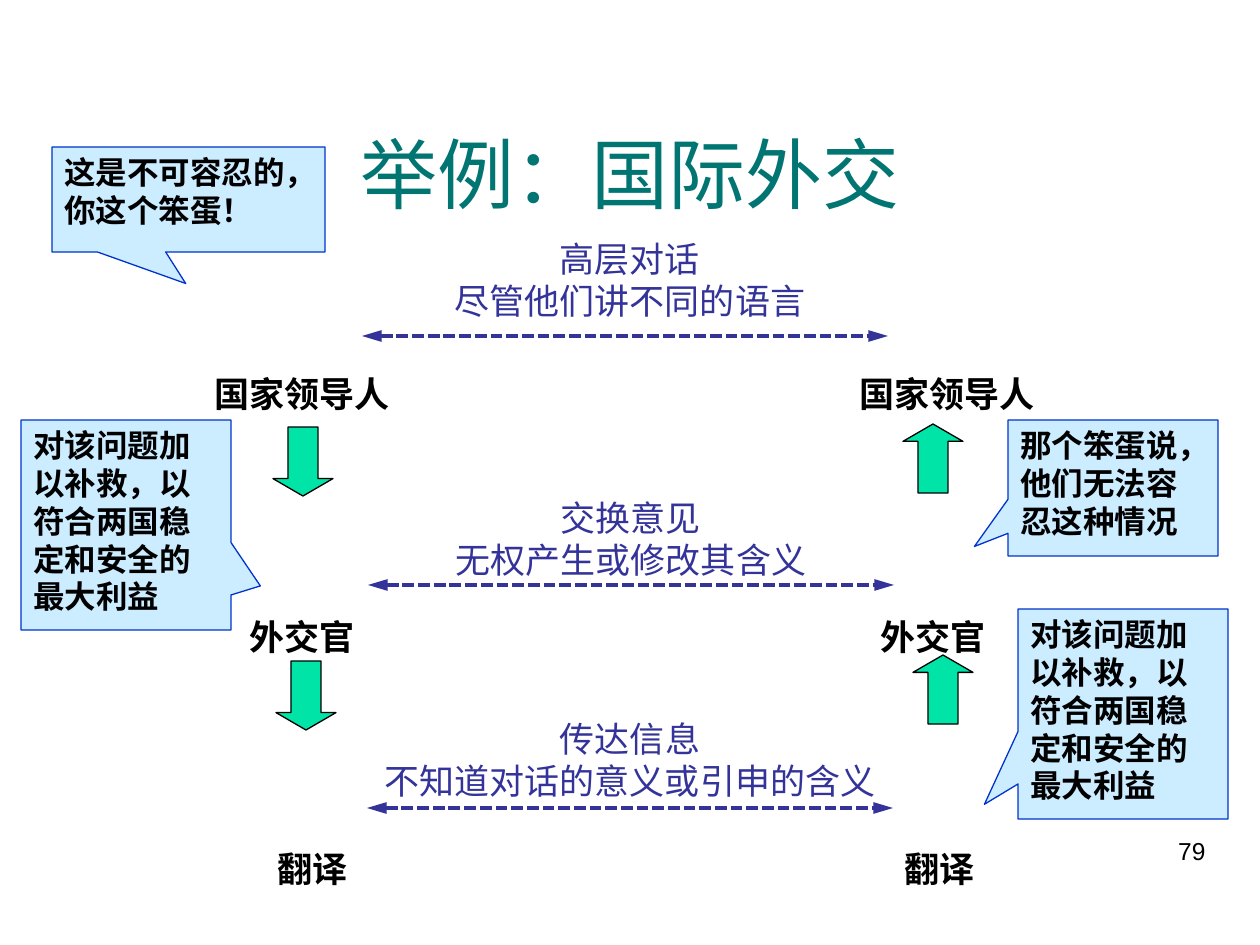
"""Build the slide on international diplomacy as an example of layered dialogue."""
from lxml import etree
from pptx import Presentation
from pptx.dml.color import RGBColor
from pptx.enum import dml, shapes, text
from pptx.oxml import ns
from pptx.util import Emu, Pt

PX = 914400 / 126
TEAL = RGBColor(0x00, 0x75, 0x72)
INDIGO = RGBColor(0x33, 0x33, 0x99)
GREEN = RGBColor(0x00, 0xE4, 0xA8)
PALE_BLUE = RGBColor(0xCC, 0xEC, 0xFF)
BLUE = RGBColor(0x00, 0x33, 0xCC)
BLACK = RGBColor(0, 0, 0)
CJK = "Noto Sans CJK SC"
CENTER, LEFT, RIGHT = text.PP_ALIGN.CENTER, text.PP_ALIGN.LEFT, text.PP_ALIGN.RIGHT
TOP, MIDDLE = text.MSO_ANCHOR.TOP, text.MSO_ANCHOR.MIDDLE

TITLE = ("举例：国际外交", (42, 94, 1176, 158))
NUMBER = ("79", (903, 830, 315, 66))
ROLES = [
    ("国家领导人", 394, (302, 947)),
    ("外交官", 637, (302, 933)),
    ("翻译", 868, (313, 940)),
]
ROLE_SIZE = (260, 52)
DIALOGUES = [
    (("高层对话", "尽管他们讲不同的语言"), (440, 231, 380, 97), (362, 336)),
    (("交换意见", "无权产生或修改其含义"), (441, 490, 380, 97), (368, 585)),
    (("传达信息", "不知道对话的意义或引申的含义"), (370, 711, 520, 97), (367, 808)),
]
LINK_LENGTH = 526
DOWN, UP = shapes.MSO_SHAPE.DOWN_ARROW, shapes.MSO_SHAPE.UP_ARROW
ARROWS = [(DOWN, 273, 427), (DOWN, 276, 661), (UP, 913, 655), (UP, 903, 424)]
ARROW_SIZE = (60, 69)
REMEDY = "对该问题加以补救，以符合两国稳定和安全的最大利益"
CALLOUTS = [
    ("这是不可容忍的，你这个笨蛋！", (52, 147, 273, 105), (-0.01, 0.8)),
    (REMEDY, (21, 420, 210, 210), (0.64, 0.29)),
    (REMEDY, (1018, 609, 210, 210), (-0.66, 0.43)),
    ("那个笨蛋说，他们无法容忍这种情况", (1008, 420, 210, 136), (-0.66, 0.43)),
]


def px(*values):
    return [Emu(round(value * PX)) for value in values]


def write(box, lines, face, size, color, bold=False, align=LEFT, anchor=TOP, wrap=True):
    frame = box.text_frame
    frame.word_wrap = wrap
    frame.vertical_anchor = anchor
    frame.text = "\n".join(lines)
    for para in frame.paragraphs:
        para.alignment = align
        font = para.font
        font.name, font.size, font.bold = face, Pt(size), bold
        font.color.rgb = color
        latin = para._p.pPr.find(".//" + ns.qn("a:latin"))
        east_asian = etree.Element(ns.qn("a:ea"), typeface=face)
        latin.addnext(east_asian)


def add_text(page, lines, area, *style, **layout):
    write(page.shapes.add_textbox(*px(*area)), lines, *style, **layout)


def add_shape(page, kind, area, fill, line, adjustments):
    shape = page.shapes.add_shape(kind, *px(*area))
    shape.shadow.inherit = False
    shape.fill.solid()
    shape.fill.fore_color.rgb = fill
    shape.line.color.rgb = line
    shape.line.width = Pt(0.75)
    for index, value in enumerate(adjustments):
        shape.adjustments[index] = value
    return shape


def add_link(page, left, y):
    link = page.shapes.add_connector(
        shapes.MSO_CONNECTOR.STRAIGHT, *px(left, y, left + LINK_LENGTH, y))
    link.line.color.rgb = INDIGO
    link.line.width = Pt(2.25)
    link.line.dash_style = dml.MSO_LINE.SQUARE_DOT
    outline = link.line._get_or_add_ln()
    for end in ("a:headEnd", "a:tailEnd"):
        etree.SubElement(outline, ns.qn(end), type="triangle", w="med", len="lg")
    etree.SubElement(link._element.spPr, ns.qn("a:effectLst"))


def main():
    deck = Presentation()
    deck.slide_width, deck.slide_height = px(1260, 945)
    page = deck.slides.add_slide(deck.slide_layouts[6])

    title, area = TITLE
    add_text(page, [title], area, "Arial", 44, TEAL, align=CENTER, anchor=MIDDLE)
    number, area = NUMBER
    add_text(page, [number], area, "Arial", 14, BLACK, align=RIGHT)

    width, height = ROLE_SIZE
    for role, middle, centers in ROLES:
        for center in centers:
            area = (center - width / 2, middle - height / 2, width, height)
            add_text(page, [role], area, CJK, 20, BLACK, bold=True,
                     align=CENTER, anchor=MIDDLE)

    for lines, area, start in DIALOGUES:
        add_link(page, *start)
        add_text(page, lines, area, "Lato", 20, INDIGO, align=CENTER)

    for kind, left, top in ARROWS:
        add_shape(page, kind, (left, top, *ARROW_SIZE), GREEN, BLACK, (0.5, 0.29))

    for speech, area, tip in CALLOUTS:
        callout = add_shape(page, shapes.MSO_SHAPE.RECTANGULAR_CALLOUT, area,
                            PALE_BLUE, BLUE, tip)
        write(callout, [speech], "Lato", 18, BLACK, bold=True)

    deck.save("out.pptx")


if __name__ == "__main__":
    main()
